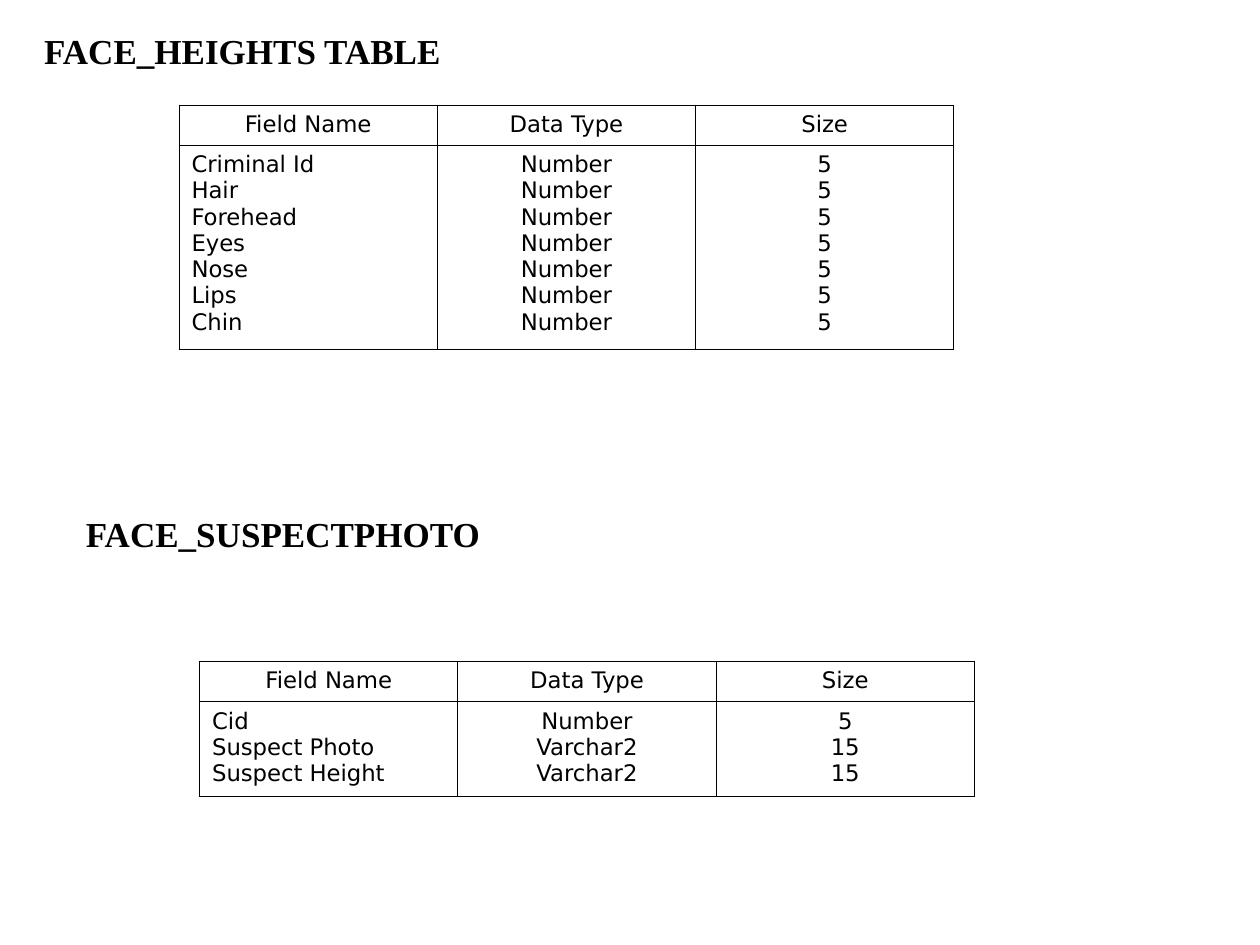
"""Build a slide that describes two database tables."""
from dataclasses import dataclass

from lxml import etree
from pptx import Presentation
from pptx.dml.color import RGBColor
from pptx.enum.text import MSO_ANCHOR, MSO_AUTO_SIZE, PP_ALIGN
from pptx.oxml.ns import qn
from pptx.util import Pt

LEFT, CENTER, JUSTIFY = PP_ALIGN.LEFT, PP_ALIGN.CENTER, PP_ALIGN.JUSTIFY
TOP, NO_AUTOFIT = MSO_ANCHOR.TOP, MSO_AUTO_SIZE.NONE
BLACK = RGBColor(0, 0, 0)
WHITE = RGBColor(255, 255, 255)
HEADING_FONT, TABLE_FONT = "Times New Roman", "DejaVu Sans"
HEADERS = ("Field Name", "Data Type", "Size")
COL_WIDTH, HEADER_HEIGHT, BORDER_WIDTH = 147.6, 23.04, 0.45
HEADING_HEIGHT = 55.44


@dataclass
class Heading:
    text: str
    left: float
    top: float
    width: float


@dataclass
class FieldTable:
    left: float
    top: float
    body_height: float
    fields: list[tuple[str, str, str]]


SECTIONS = (
    (
        Heading("FACE_HEIGHTS TABLE", 18, 13.5, 244.08),
        FieldTable(102.24, 60, 116.64, [
            (name, "Number", "5")
            for name in ("Criminal Id", "Hair", "Forehead", "Eyes",
                         "Nose", "Lips", "Chin")
        ]),
    ),
    (
        Heading("FACE_SUSPECTPHOTO", 42, 289.5, 241.2),
        FieldTable(114, 378, 54, [
            ("Cid", "Number", "5"),
            ("Suspect Photo", "Varchar2", "15"),
            ("Suspect Height", "Varchar2", "15"),
        ]),
    ),
)


def format_text(tf, font: str, size: float, bold: bool, align) -> None:
    for p in tf.paragraphs:
        p.alignment = align
        for r in p.runs:
            r.font.name = font
            r.font.size = Pt(size)
            r.font.bold = bold
            r.font.color.rgb = BLACK


def draw_heading(sp, heading: Heading) -> None:
    sp.left, sp.top = Pt(heading.left), Pt(heading.top)
    sp.width, sp.height = Pt(heading.width), Pt(HEADING_HEIGHT)
    tf = sp.text_frame
    tf.text = heading.text
    tf.auto_size = NO_AUTOFIT
    tf.word_wrap = False
    tf.vertical_anchor = TOP
    format_text(tf, HEADING_FONT, 20, True, LEFT)


def add_borders(cell) -> None:
    tc_pr = cell._tc.get_or_add_tcPr()
    for side in ("a:lnL", "a:lnR", "a:lnT", "a:lnB"):
        ln = etree.SubElement(tc_pr, qn(side), w=str(Pt(BORDER_WIDTH)))
        fill = etree.SubElement(ln, qn("a:solidFill"))
        etree.SubElement(fill, qn("a:srgbClr"), val=str(BLACK))


def draw_cell(cell, text: str, align) -> None:
    cell.text_frame.text = text
    format_text(cell.text_frame, TABLE_FONT, 13, False, align)
    add_borders(cell)
    cell.fill.background()


def draw_table(s, spec_table: FieldTable) -> None:
    frame = s.shapes.add_table(
        2, len(HEADERS), Pt(spec_table.left), Pt(spec_table.top),
        Pt(COL_WIDTH * len(HEADERS)), Pt(HEADER_HEIGHT + spec_table.body_height))
    table = frame.table
    table.first_row = table.horz_banding = False
    table.rows[0].height = Pt(HEADER_HEIGHT)
    table.rows[1].height = Pt(spec_table.body_height)
    for i, (header, values) in enumerate(zip(HEADERS, zip(*spec_table.fields))):
        table.columns[i].width = Pt(COL_WIDTH)
        draw_cell(table.cell(0, i), header, CENTER)
        draw_cell(table.cell(1, i), "\n".join(values), CENTER if i else JUSTIFY)


def main() -> None:
    prs = Presentation()
    prs.slide_width, prs.slide_height = Pt(720), Pt(540)
    s = prs.slides.add_slide(prs.slide_layouts[5])
    s.background.fill.solid()
    s.background.fill.fore_color.rgb = WHITE
    for i, (heading, table) in enumerate(SECTIONS):
        sp = s.shapes.add_textbox(0, 0, 0, 0) if i else s.shapes.title
        draw_heading(sp, heading)
        draw_table(s, table)
    prs.save("out.pptx")


if __name__ == "__main__":
    main()
